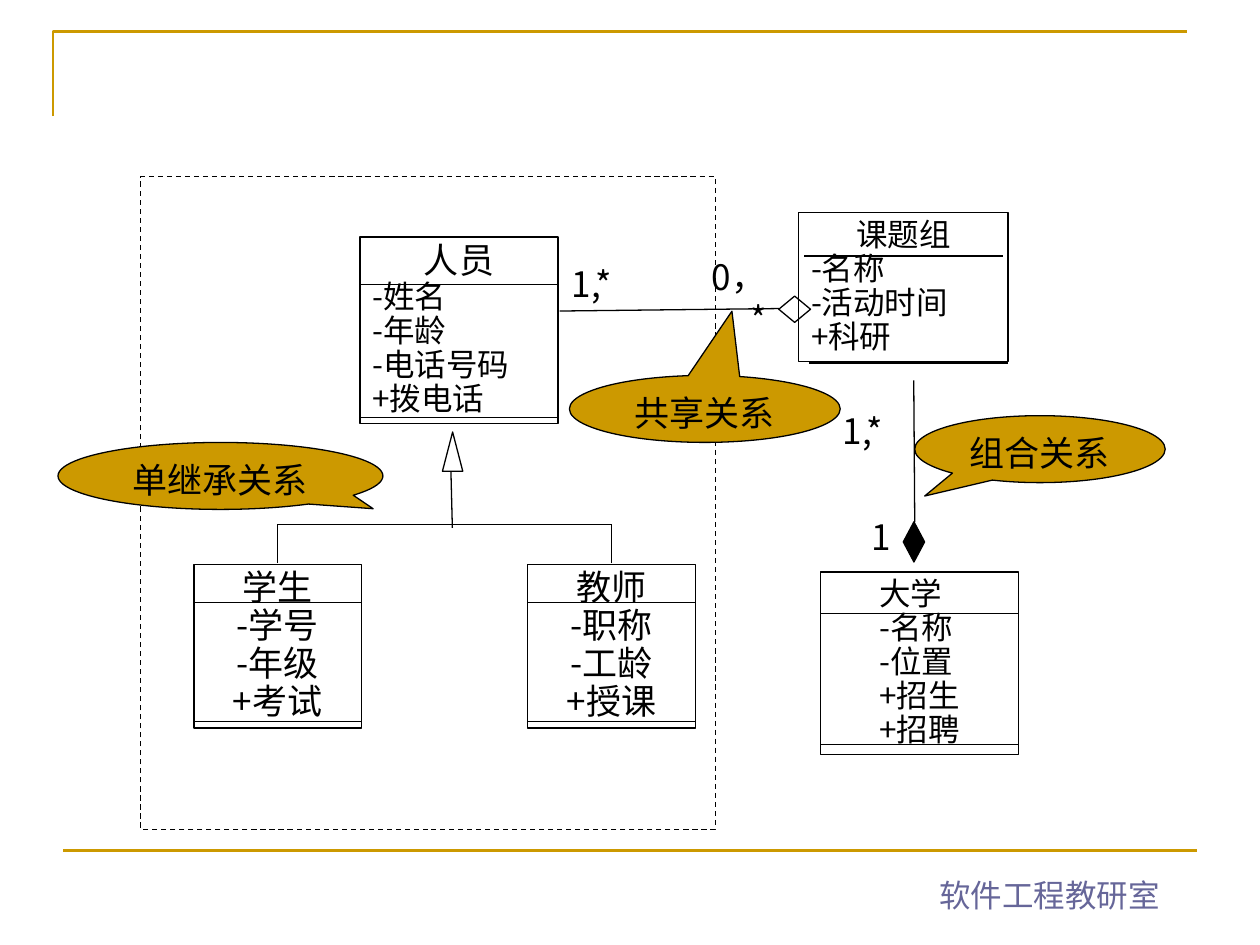
from lxml.etree import SubElement
from pptx import Presentation
from pptx.dml.color import RGBColor
from pptx.enum.dml import MSO_LINE
from pptx.enum.shapes import MSO_CONNECTOR, MSO_SHAPE
from pptx.enum.text import MSO_ANCHOR, PP_ALIGN
from pptx.oxml.ns import qn
from pptx.util import Cm, Pt

BLACK, GOLD, VIOLET = "000000", "CC9900", "666699"
CJK_FONT = "Noto Sans CJK SC"
LEFT, CENTER, RIGHT = PP_ALIGN.LEFT, PP_ALIGN.CENTER, PP_ALIGN.RIGHT

# All positions are in centimetres: left, top, width, height.
CLASSES = [
    {"name": "人员", "members": ["-姓名", "-年龄", "-电话号码", "+拨电话"],
     "box": (7.26, 4.78, 3.99, 3.76), "sizes": (20, 18), "aligns": (CENTER, LEFT),
     "separators": [(0, 5.74, 3.99), (0, 8.41, 3.99)]},
    {"name": "学生", "members": ["-学号", "-年级", "+考试"],
     "box": (3.91, 11.38, 3.38, 3.3), "sizes": (20, 20), "aligns": (CENTER, CENTER),
     "separators": [(0, 12.14, 3.38), (0, 14.55, 3.38)]},
    {"name": "教师", "members": ["-职称", "-工龄", "+授课"],
     "box": (10.64, 11.38, 3.38, 3.3), "sizes": (20, 20), "aligns": (CENTER, CENTER),
     "separators": [(0, 12.14, 3.38), (0, 14.55, 3.38)]},
    {"name": "课题组", "members": ["-名称", "-活动时间", "+科研"],
     "box": (16.1, 4.29, 4.22, 3), "sizes": (18, 18), "aligns": (CENTER, LEFT),
     "separators": [(0.11, 5.16, 4.01), (0.21, 7.32, 4.01)]},
    {"name": "大学", "members": ["-名称", "-位置", "+招生", "+招聘"],
     "box": (16.54, 11.53, 3.99, 3.68), "sizes": (18, 18), "aligns": (LEFT, LEFT),
     "separators": [(0, 12.37, 3.99), (0, 15.01, 3.99)], "centred_block": True},
]
RELATION_LINES = [
    (5.59, 11.35, 5.59, 10.57), (5.59, 10.57, 12.32, 10.57),
    (12.32, 11.35, 12.32, 10.57), (9.09, 9.5, 9.12, 10.64),
    (11.28, 6.27, 15.7, 6.22), (18.44, 10.52, 18.42, 7.67),
]
RELATION_ENDS = [
    (MSO_SHAPE.FLOWCHART_EXTRACT, (8.92, 8.71, 0.41, 0.79), None),
    (MSO_SHAPE.FLOWCHART_DECISION, (15.7, 5.97, 0.64, 0.53), None),
    (MSO_SHAPE.DIAMOND, (18.21, 10.52, 0.43, 0.81), BLACK),
]
MULTIPLICITIES = [
    ("1,*", (11.28, 5.16, 1.47, 1.96), LEFT),
    ("1", (16.74, 10.26, 1.47, 1.12), RIGHT),
    ("1,*", (16.74, 8.13, 1.47, 1.96), LEFT),
    ("0，*", (13.79, 5.03, 1.91, 1.96), RIGHT),
]
CALLOUTS = [
    ("组合关系", (18.44, 8.38, 5.05, 1.35), (-0.46, 0.7)),
    ("共享关系", (11.48, 7.57, 5.46, 1.35), (0.1, -1.46)),
    ("单继承关系", (1.17, 8.92, 6.55, 1.35), (0.47, 0.49)),
]
HIERARCHY_FRAME = (2.84, 3.56, 11.58, 13.16)
CORNER = [(1.07, 2.34), (1.07, 0.64), (23.93, 0.64)]
BOTTOM_RULE = (1.27, 17.15, 24.13, 17.15)
FOOTER = ("软件工程教研室", (18.69, 17.53, 4.95, 1.02))


def rgb(color):
    return RGBColor.from_string(color)


def set_outline(shape, color=BLACK, width=0.75):
    shape.line.color.rgb = rgb(color)
    shape.line.width = Pt(width)


def add_line(slide, ends, color=BLACK, width=0.75):
    line = slide.shapes.add_connector(MSO_CONNECTOR.STRAIGHT, *map(Cm, ends))
    set_outline(line, color, width)
    SubElement(line._element.spPr, qn("a:effectLst"))


def add_outlined_shape(slide, kind, box, fill=None):
    shape = slide.shapes.add_shape(kind, *map(Cm, box))
    shape.shadow.inherit = False
    if fill:
        shape.fill.solid()
        shape.fill.fore_color.rgb = rgb(fill)
    else:
        shape.fill.background()
    set_outline(shape)
    return shape


def format_paragraph(paragraph, size, align, color=BLACK, font=CJK_FONT):
    paragraph.alignment = align
    for run in paragraph.runs:
        run.font.size = Pt(size)
        run.font.color.rgb = rgb(color)
        run.font.name = font
        SubElement(run.font._element, qn("a:ea"), typeface=CJK_FONT)


def add_class(slide, name, members, box, sizes, aligns, separators, centred_block=False):
    shape = add_outlined_shape(slide, MSO_SHAPE.RECTANGLE, box)
    frame = shape.text_frame
    frame.word_wrap = True
    frame.vertical_anchor = MSO_ANCHOR.MIDDLE
    if centred_block:
        frame._txBody.bodyPr.set("anchorCtr", "1")
    frame.text = "\n".join([name, *members])
    for index, paragraph in enumerate(frame.paragraphs):
        part = min(index, 1)
        format_paragraph(paragraph, sizes[part], aligns[part])
        paragraph.line_spacing = 0.9
    for offset, y, length in separators:
        start = box[0] + offset
        add_line(slide, (start, y, start + length, y))


def add_label(slide, text, box, size, align, wrap=True, **style):
    frame = slide.shapes.add_textbox(*map(Cm, box)).text_frame
    frame.word_wrap = wrap
    frame.text = text
    format_paragraph(frame.paragraphs[0], size, align, **style)


def add_callout(slide, text, box, tip):
    shape = add_outlined_shape(slide, MSO_SHAPE.OVAL_CALLOUT, box, GOLD)
    shape.adjustments[0], shape.adjustments[1] = tip
    frame = shape.text_frame
    frame.word_wrap = True
    frame.vertical_anchor = MSO_ANCHOR.TOP
    frame.text = text
    format_paragraph(frame.paragraphs[0], 20, CENTER)


def add_decoration(slide):
    points = [(Cm(x), Cm(y)) for x, y in CORNER]
    builder = slide.shapes.build_freeform(*points[0])
    builder.add_line_segments(points[1:], close=False)
    corner = builder.convert_to_shape()
    corner.shadow.inherit = False
    corner.fill.background()
    set_outline(corner, GOLD, 1.5)
    add_line(slide, BOTTOM_RULE, GOLD, 1.5)
    add_label(slide, *FOOTER, 18, LEFT, wrap=False, color=VIOLET, font="Arial")


def main():
    presentation = Presentation()
    presentation.slide_width, presentation.slide_height = Cm(25.4), Cm(19.05)
    slide = presentation.slides.add_slide(presentation.slide_layouts[6])
    add_decoration(slide)
    for uml_class in CLASSES:
        add_class(slide, **uml_class)
    frame = add_outlined_shape(slide, MSO_SHAPE.RECTANGLE, HIERARCHY_FRAME)
    frame.line.dash_style = MSO_LINE.DASH
    for ends in RELATION_LINES:
        add_line(slide, ends)
    for kind, box, fill in RELATION_ENDS:
        add_outlined_shape(slide, kind, box, fill)
    for text, box, align in MULTIPLICITIES:
        add_label(slide, text, box, 20, align)
    for callout in CALLOUTS:
        add_callout(slide, *callout)
    presentation.save("out.pptx")


if __name__ == "__main__":
    main()
